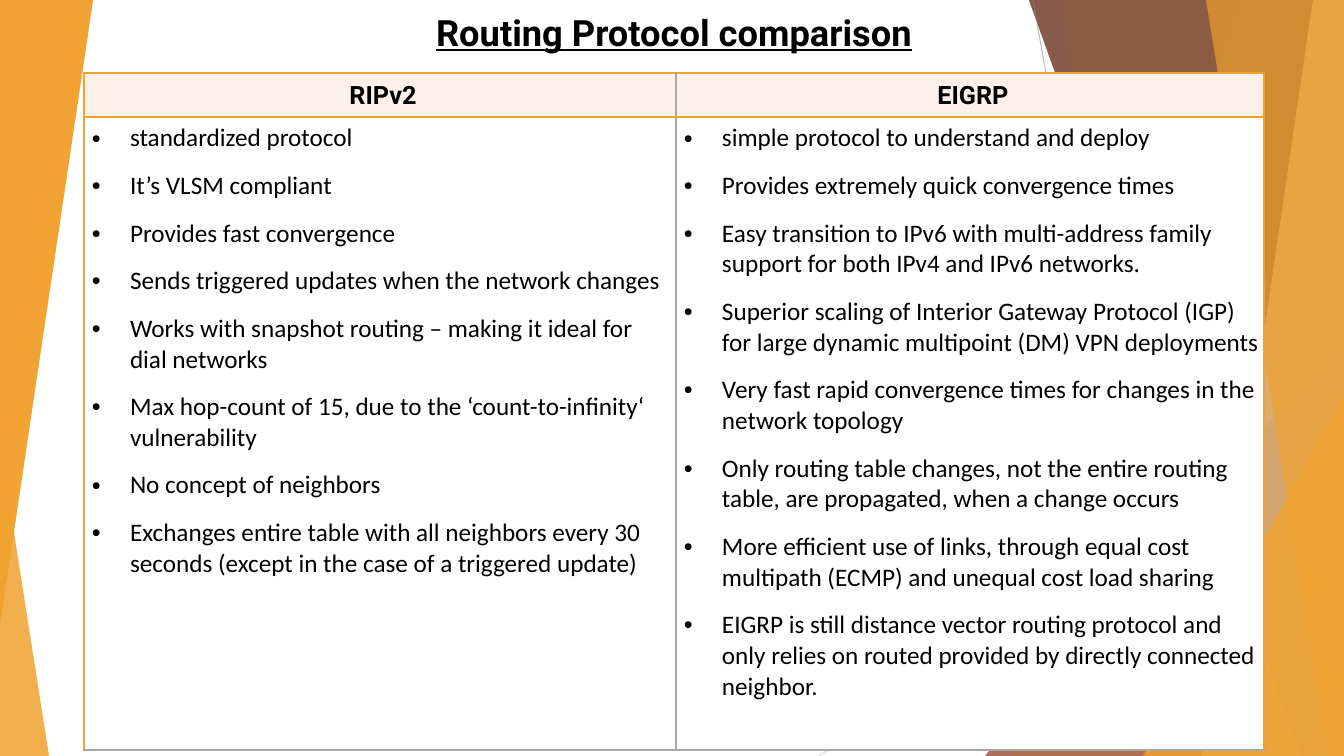
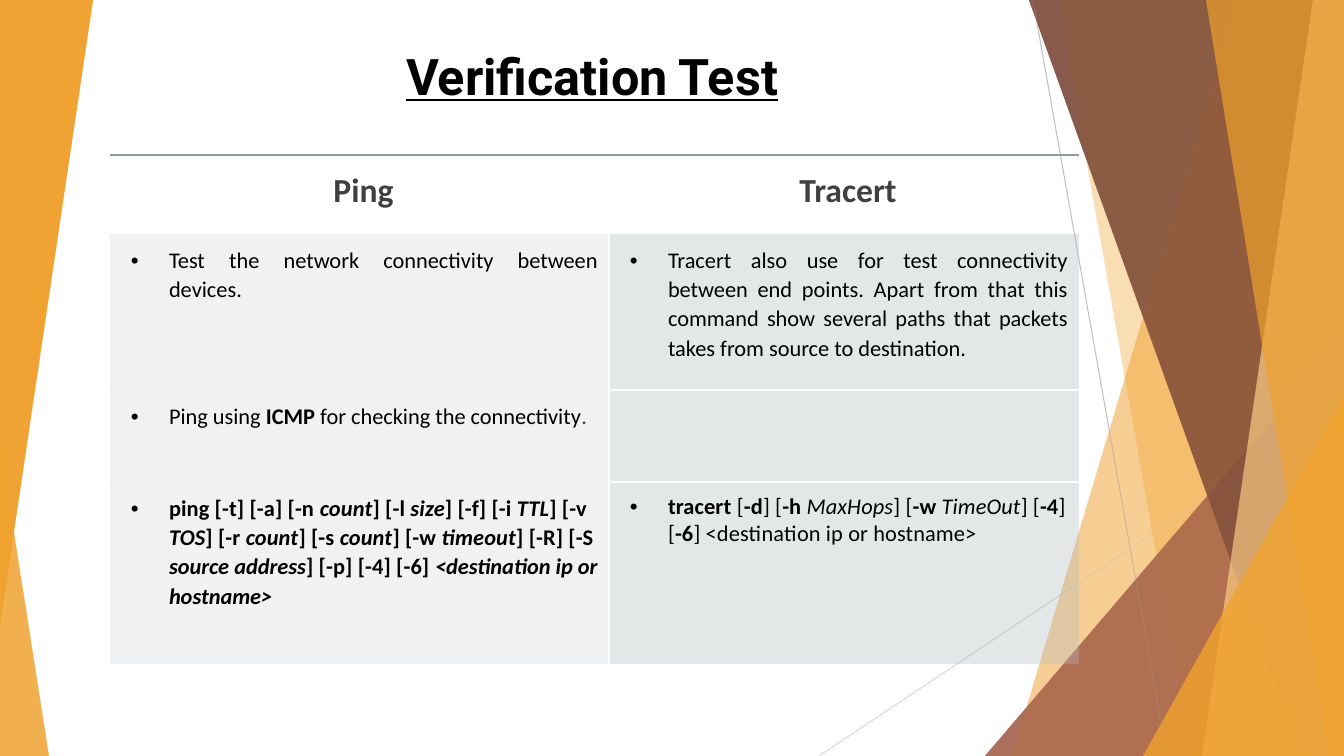
from pptx import Presentation
from pptx.dml.color import RGBColor
from pptx.enum.shapes import MSO_CONNECTOR, MSO_SHAPE
from pptx.enum.text import MSO_ANCHOR, MSO_AUTO_SIZE, PP_ALIGN
from pptx.oxml.ns import qn
from pptx.oxml.xmlchemy import OxmlElement
from pptx.util import Pt

PX = 914400 / 100.8
WIDE, HIGH = 1344, 756
TRI, LINE = MSO_SHAPE.ISOSCELES_TRIANGLE, MSO_CONNECTOR.STRAIGHT
MID, TOP = MSO_ANCHOR.MIDDLE, MSO_ANCHOR.TOP
LEFT, CENTER, JUST = PP_ALIGN.LEFT, PP_ALIGN.CENTER, PP_ALIGN.JUSTIFY
FIXED = MSO_AUTO_SIZE.NONE

BLACK = RGBColor(0x00, 0x00, 0x00)
WHITE = RGBColor(0xFF, 0xFF, 0xFF)
DARK = RGBColor(0x40, 0x40, 0x40)
GOLD = RGBColor(0xF0, 0xA2, 0x2E)
SAND = RGBColor(0xF6, 0xC7, 0x82)
RUST = RGBColor(0xA5, 0x64, 0x4E)
BROWN = RGBColor(0x7C, 0x4B, 0x3B)
PEACH = RGBColor(0xFC, 0xF0, 0xE8)
STEEL = RGBColor(0xB4, 0xBC, 0xBE)
SLATE = RGBColor(0x8F, 0x9A, 0x9D)
GREY = RGBColor(0xA6, 0xA6, 0xA6)
SILVER = RGBColor(0xBF, 0xBF, 0xBF)
PALE = RGBColor(0xD9, 0xD9, 0xD9)

SHARDS = [
    ("band", (1238, 1012), GOLD, 30),
    ("band", (1058, 1192), GOLD, 20),
    ("tri", (985, 336, 359, 420, 1, 0), RUST, 72),
    ("band", (1029, 1301), BROWN, 70),
    ("band", (1313, 1202), SAND, 70),
    ("band", (1206, 1329), GOLD, 65),
    ("tri", (1143, 396, 201, 360, 1, 0), GOLD, 80),
]
CORNER = ("tri", (0, 443, 49, 313, 0, 0), GOLD, 85)
WEDGE = ("tri", (0, 0, 93, 625, 1, 180), GOLD, 85)
RAYS = [((1033, 0, 1167, 756), SILVER), ((1344, 406, 819, 756), PALE)]

RIP = [
    "standardized protocol",
    "It’s VLSM compliant",
    "Provides fast convergence",
    "Sends triggered updates when the network changes",
    "Works with snapshot routing – making it ideal for dial networks",
    "Max hop-count of 15, due to the ‘count-to-infinity‘ vulnerability",
    "No concept of neighbors",
    "Exchanges entire table with all neighbors every 30 seconds "
    "(except in the case of a triggered update)",
]
EIGRP = [
    "simple protocol to understand and deploy",
    "Provides extremely quick convergence times",
    "Easy transition to IPv6 with multi-address family support for both "
    "IPv4 and IPv6 networks.",
    "Superior scaling of Interior Gateway Protocol (IGP) for large dynamic "
    "multipoint (DM) VPN deployments",
    "Very fast rapid convergence times for changes in the network topology",
    "Only routing table changes, not the entire routing table, are "
    "propagated, when a change occurs",
    "More efficient use of links, through equal cost multipath (ECMP) and "
    "unequal cost load sharing",
    "EIGRP is still distance vector routing protocol and only relies on "
    "routed provided by directly connected neighbor.",
]
PING = [
    ("ping [-t] [-a] [-n ", "bs"), ("count", "bis"), ("] [-l ", "bs"),
    ("size", "bis"), ("] [-f] [-i ", "bs"), ("TTL", "bis"),
    ("] [-v ", "bs"), ("TOS", "bis"), ("] [-r ", "bs"), ("count", "bis"),
    ("] [-s ", "bs"), ("count", "bis"), ("] [-w ", "bs"),
    ("timeout", "bis"), ("] [-R] [-S ", "bs"), ("source address", "bi"),
    ("] [-p] [-4] [-6] ", "bs"), ("<destination ip or hostname>", "bi"),
]
TRACE = [
    ("tracert", "bs"), (" [", "s"), ("-d", "bs"), ("] [", "s"),
    ("-h ", "bs"), ("MaxHops", "is"), ("] [", "s"), ("-w ", "bs"),
    ("TimeOut", "is"), ("] [", "s"), ("-4", "bs"), ("] [", "s"),
    ("-6", "bs"), ("] <destination ip or hostname>", "s"),
]
ICMP = [("Ping using ", ""), ("ICMP", "b"),
        (" for checking the connectivity", ""), (".", "g")]
REACH = "Test the network connectivity between devices."
HOPS = ("Tracert also use for test connectivity between end points. Apart "
        "from that this command show several paths that packets takes from "
        "source to destination.")

HEAD = dict(font="Roboto", size=18, color=BLACK, bold=True, align=CENTER,
            lead=1.07, gap=0, dot=False, anchor=MID, pad=(8, 6, 2, 6))
ITEM = dict(HEAD, font="Calibri", bold=False, align=LEFT, lead=1, gap=6,
            dot=True, anchor=TOP)
NAME = dict(HEAD, font="Calibri", size=24, color=DARK, anchor=TOP,
            pad=(21, 13, 13, 13))
NOTE = dict(ITEM, size=16, lead=1.07, gap=0, pad=(21, 11, 11, 11))
FLUSH = dict(NOTE, align=JUST)
TIGHT = dict(NOTE, lead=1)

COMPARE = dict(
    title="Routing Protocol comparison", size=25.9, box=(426, 8, 663, 48),
    at=(84, 73), cols=[592, 588], rows=[44, 633],
    cells=[[(["RIPv2"], HEAD), (["EIGRP"], HEAD)],
           [(RIP, ITEM), (EIGRP, ITEM)]])
VERIFY = dict(
    title="Verification Test", size=36, box=(396, 35, 600, 80),
    at=(110, 155), cols=[499, 470], rows=[79, 156, 92, 182],
    cells=[[(["Ping"], NAME), (["Tracert"], NAME)],
           [([REACH], FLUSH), ([HOPS], FLUSH)],
           [([ICMP], NOTE), ([], NOTE)],
           [([PING], NOTE), ([TRACE], TIGHT)]])


def px(*nums):
    return [round(n * PX) for n in nums]


def node(home, tag, **attrs):
    item = OxmlElement(tag)
    for key, val in attrs.items():
        item.set(key, str(val))
    home.append(item)
    return item


def fade(home, pct):
    tint = home.findall(".//" + qn("a:srgbClr"))[-1]
    node(tint, "a:alpha", val=pct * 1000)


def shard(slide, kind, geo, color, pct):
    if kind == "band":
        top, foot = geo
        pen = slide.shapes.build_freeform(top, 0, scale=PX)
        pen.add_line_segments([(WIDE, 0), (WIDE, HIGH), (foot, HIGH)])
        shape = pen.convert_to_shape()
    else:
        shape = slide.shapes.add_shape(TRI, *px(*geo[:4]))
        shape.adjustments[0], shape.rotation = geo[4:]
    shape.shadow.inherit = False
    shape.line.fill.background()
    shape.fill.solid()
    shape.fill.fore_color.rgb = color
    fade(shape.element.spPr, pct)
    return shape


def ray(slide, ends, color):
    line = slide.shapes.add_connector(LINE, *px(*ends))
    line.line.color.rgb = color
    line.line.width = Pt(0.75)
    node(line.element.spPr, "a:effectLst")
    return line


def adorn(slide):
    parts = [shard(slide, *s) for s in SHARDS + [CORNER]]
    parts += [ray(slide, *r) for r in RAYS]
    parts += [shard(slide, *s) for s in SHARDS + [WEDGE, WEDGE]]
    tree = slide.slide_layout.shapes.element
    for part in parts:
        tree.append(part.element)


def write(cell, paras, look):
    (cell.margin_left, cell.margin_top,
     cell.margin_right, cell.margin_bottom) = px(*look["pad"])
    cell.vertical_anchor = look["anchor"]
    frame = cell.text_frame
    for i, text in enumerate(paras):
        para = frame.add_paragraph() if i else frame.paragraphs[0]
        para.alignment = look["align"]
        para.line_spacing = look["lead"]
        para.space_before = para.space_after = Pt(look["gap"])
        if look["dot"]:
            props = para._p.get_or_add_pPr()
            inset = px(38)[0]
            props.set("marL", str(inset))
            props.set("indent", str(-inset))
            tint = node(props, "a:buClr")
            node(tint, "a:srgbClr", val=BLACK)
            node(props, "a:buFont", typeface="Arial")
            node(props, "a:buChar", char="•")
        for words, marks in [(text, "")] if isinstance(text, str) else text:
            run = para.add_run()
            run.text = words
            font = run.font
            font.name, font.size = look["font"], Pt(look["size"])
            font.bold = look["bold"] or "b" in marks
            font.italic = "i" in marks
            font.color.rgb = DARK if "g" in marks else look["color"]
            if "s" in marks:
                run._r.get_or_add_rPr().set("spc", "10")


def edge(cell, **sides):
    props = cell._tc.get_or_add_tcPr()
    for side in "LRTB":
        color, width = sides.get(side, (None, 1))
        line = node(props, "a:ln" + side, w=Pt(width))
        if color is None:
            node(line, "a:noFill")
        else:
            node(node(line, "a:solidFill"), "a:srgbClr", val=color)


def paint(cell, color, pct=100):
    cell.fill.solid()
    cell.fill.fore_color.rgb = color
    if pct < 100:
        fade(cell._tc.get_or_add_tcPr(), pct)


def framed(cell, row, col):
    rim, rule = (GOLD, 1), (GREY, 1)
    edge(cell, L=rule if col else rim, R=rim if col else rule,
         T=rim, B=rule if row else rim)
    paint(cell, WHITE if row else PEACH)


def shaded(cell, row, col):
    gap = (WHITE, 1.5)
    if row == 0:
        edge(cell, T=(SLATE, 1.5))
        cell.fill.background()
        return
    sides = {"L": gap} if col else {"R": gap}
    if col and row > 1:
        sides["T"] = gap
    if col and row < 3:
        sides["B"] = gap
    edge(cell, **sides)
    paint(cell, STEEL, 35 if col else 20)


def head(slide, page):
    title = slide.shapes.title
    title.left, title.top, title.width, title.height = px(*page["box"])
    frame = title.text_frame
    frame.text = page["title"]
    frame.auto_size, frame.vertical_anchor = FIXED, MID
    para = frame.paragraphs[0]
    para.alignment = LEFT
    font = para.runs[0].font
    font.name, font.size = "Roboto", Pt(page["size"])
    font.bold = font.underline = True
    font.color.rgb = BLACK


def grid(slide, page, style):
    rows, cols = page["rows"], page["cols"]
    table = slide.shapes.add_table(
        len(rows), len(cols), *px(*page["at"], sum(cols), sum(rows))).table
    table.first_row = table.horz_banding = False
    for col, size in zip(table.columns, px(*cols)):
        col.width = size
    for row, size in zip(table.rows, px(*rows)):
        row.height = size
    for r, line in enumerate(page["cells"]):
        for c, (paras, look) in enumerate(line):
            cell = table.cell(r, c)
            write(cell, paras, look)
            style(cell, r, c)


def main():
    deck = Presentation()
    deck.slide_width, deck.slide_height = px(WIDE, HIGH)
    plain = deck.slide_layouts[5]
    for i, (page, style) in enumerate([(COMPARE, framed), (VERIFY, shaded)]):
        slide = deck.slides.add_slide(plain)
        if i == 0:
            adorn(slide)
        head(slide, page)
        grid(slide, page, style)
    deck.save("out.pptx")


if __name__ == "__main__":
    main()
